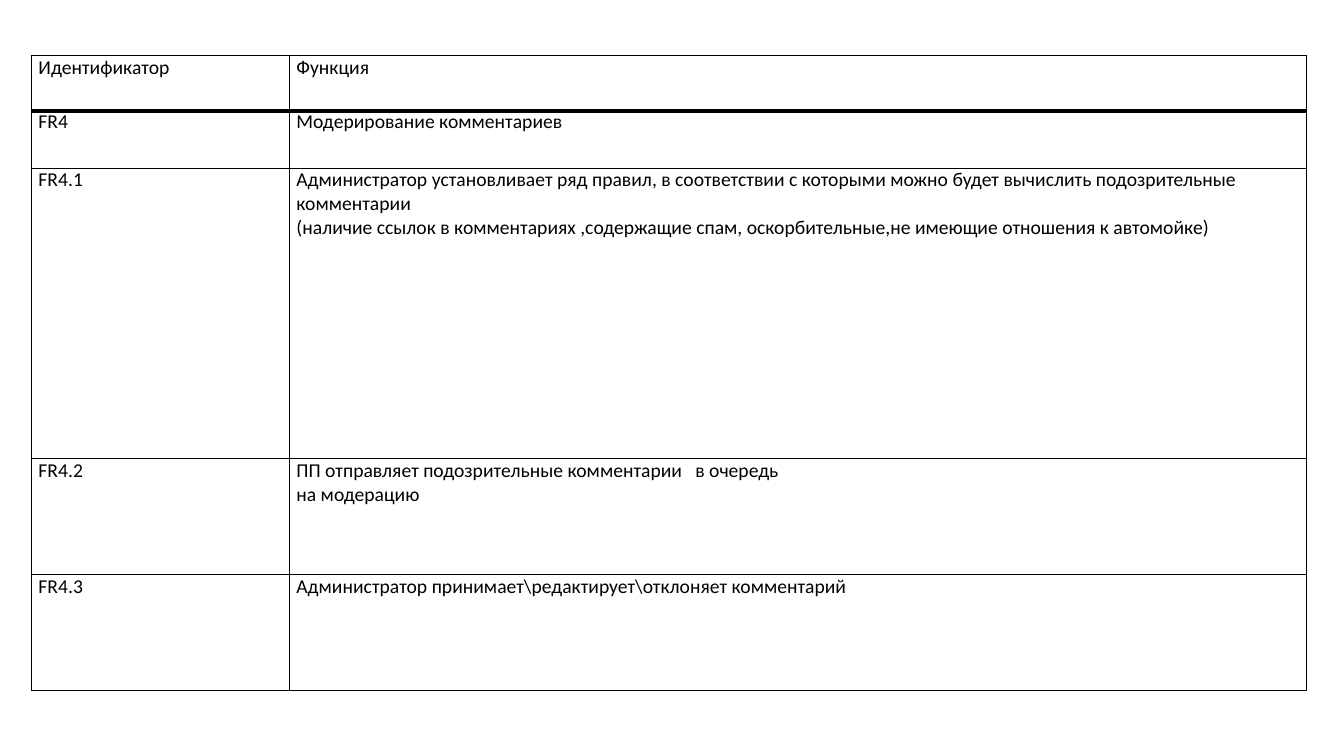
from lxml import etree
from pptx import Presentation
from pptx.dml.color import RGBColor
from pptx.oxml.ns import qn
from pptx.util import Cm, Pt

COLORS = {"text": "000000", "line": "000000"}
FONT = {"name": "Calibri", "size": Pt(14), "bold": False}
MARGINS = {
    "margin_left": Cm(0.18),
    "margin_right": Cm(0.18),
    "margin_top": 0,
    "margin_bottom": 0,
}
TABLE_FLAGS = {"first_row": False, "horz_banding": False}
COL_WIDTHS = [6.5, 25.63]
LEFT = 0.79

tables = [
    {
        "top": 2.77,
        "heights": [1.47, 7.32, 2.92, 2.92],
        "rows": [
            ["FR4", "Модерирование комментариев"],
            [
                "FR4.1",
                "Администратор установливает ряд правил, в соответствии с которыми "
                "можно будет вычислить подозрительные комментарии\n"
                "(наличие ссылок в комментариях ,содержащие спам, "
                "оскорбительные,не имеющие отношения к автомойке)",
            ],
            ["FR4.2", "ПП отправляет подозрительные комментарии   в очередь\nна модерацию"],
            ["FR4.3", "Администратор принимает\\редактирует\\отклоняет комментарий"],
        ],
    },
    {"top": 1.4, "heights": [1.42], "rows": [["Идентификатор", "Функция"]]},
]


def add_borders(cell):
    tc_pr = cell._tc.get_or_add_tcPr()
    for i, side in enumerate(["lnL", "lnR", "lnT", "lnB"]):
        ln = etree.Element(qn("a:" + side), w=str(Pt(1)))
        fill = etree.SubElement(ln, qn("a:solidFill"))
        etree.SubElement(fill, qn("a:srgbClr"), val=COLORS["line"])
        tc_pr.insert(i, ln)


prs = Presentation()
prs.slide_width = Cm(33.87)
prs.slide_height = Cm(19.05)
slide = prs.slides.add_slide(prs.slide_layouts[6])

for data in tables:
    rows, heights = data["rows"], data["heights"]
    table = slide.shapes.add_table(
        len(rows), len(COL_WIDTHS), Cm(LEFT), Cm(data["top"]),
        Cm(sum(COL_WIDTHS)), Cm(sum(heights)),
    ).table
    for name, value in TABLE_FLAGS.items():
        setattr(table, name, value)
    for column, width in zip(table.columns, COL_WIDTHS):
        column.width = Cm(width)
    for row, height, texts in zip(table.rows, heights, rows):
        row.height = Cm(height)
        for cell, text in zip(row.cells, texts):
            cell.text = text
            cell.fill.background()
            add_borders(cell)
            for name, value in MARGINS.items():
                setattr(cell, name, value)
            for p in cell.text_frame.paragraphs:
                for r in p.runs:
                    for name, value in FONT.items():
                        setattr(r.font, name, value)
                    r.font.color.rgb = RGBColor.from_string(COLORS["text"])

prs.save("out.pptx")
